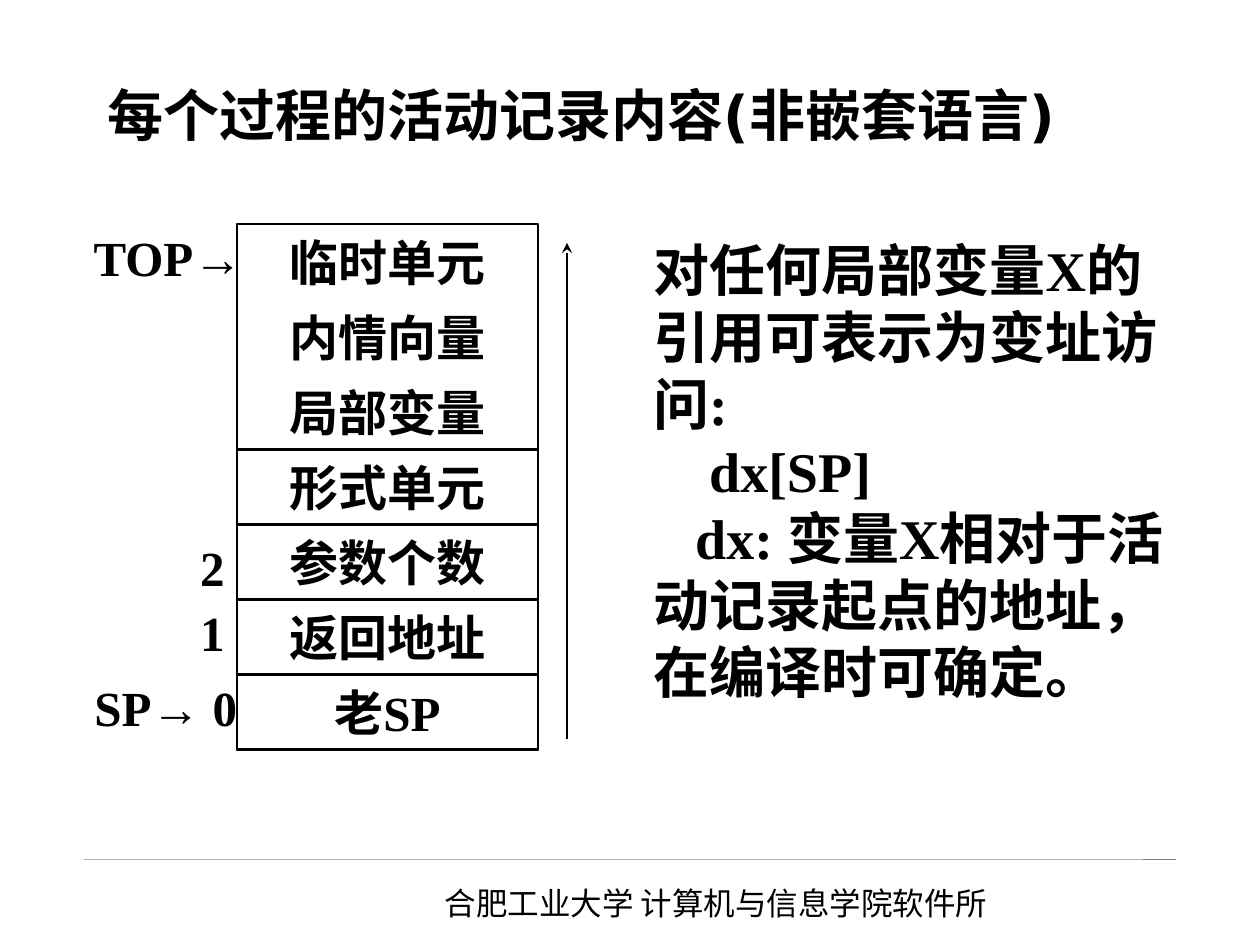
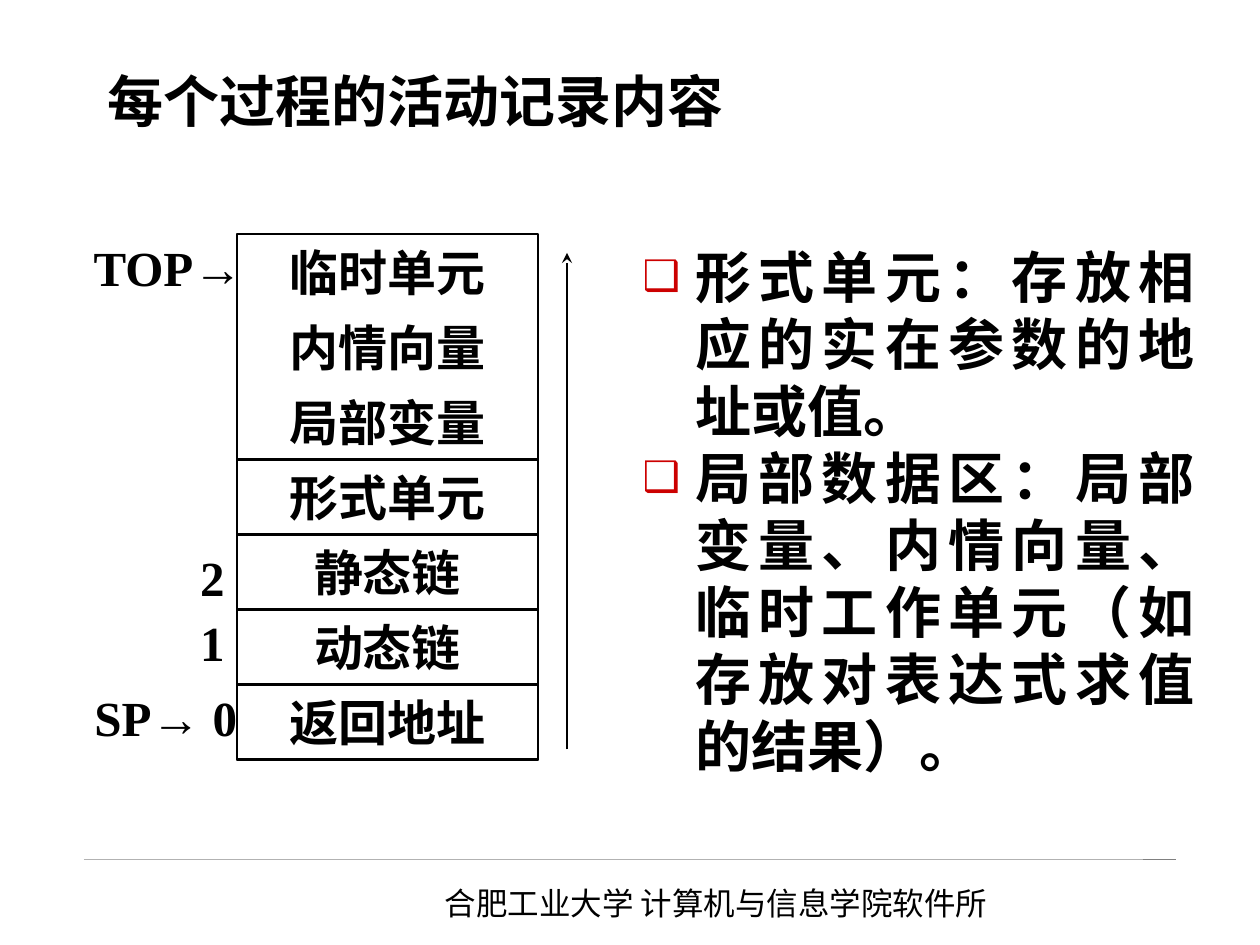
import pptx
import pptx.dml.color
import pptx.enum.shapes
import pptx.enum.text
import pptx.oxml
import pptx.oxml.ns
import pptx.util

Pt = pptx.util.Pt
ALIGN = pptx.enum.text.PP_ALIGN
ANCHOR = pptx.enum.text.MSO_ANCHOR
BLACK, RED, RULE, RULE_END = "000000", "CC0000", "B2B2B2", "808080"
SERIF, SANS, CHINESE = "Times New Roman", "DejaVu Sans", "Noto Sans CJK SC"
STACK_LEFT, STACK_WIDTH, ROW_HEIGHT = 135.4, 172, 42.9
LABEL_HEIGHT = 37.5
LOCAL_DATA = ["临时单元", "内情向量", "局部变量"]


def color(value):
    """Turn a hex string into a colour."""
    return pptx.dml.color.RGBColor.from_string(value)


def add_element(parent, tag, **attributes):
    """Append a drawing element with the given attributes."""
    element = parent.makeelement(pptx.oxml.ns.qn(tag), attributes)
    parent.append(element)
    return element


def style(para, size, name=SERIF, bold=True, align=ALIGN.LEFT):
    """Set alignment and font of a paragraph."""
    para.alignment = align
    font = para.font
    font.size, font.bold, font.name = Pt(size), bold, name
    font.color.rgb = color(BLACK)
    add_element(font._element, "a:ea", typeface=CHINESE)


def frame_text(shape, wrap=True, anchor=ANCHOR.MIDDLE):
    """Prepare the text frame of a shape and return it."""
    frame = shape.text_frame
    frame.auto_size = pptx.enum.text.MSO_AUTO_SIZE.NONE
    frame.word_wrap, frame.vertical_anchor = wrap, anchor
    return frame


def move(shape, left, top, width, height):
    """Place a shape."""
    shape.left, shape.top = Pt(left), Pt(top)
    shape.width, shape.height = Pt(width), Pt(height)


def add_text(page, text, box, size=28, wrap=False, align=ALIGN.CENTER, **font):
    """Add a text box with one paragraph, setting arrows in Arial."""
    shape = page.shapes.add_textbox(*map(Pt, box))
    para = frame_text(shape, wrap).paragraphs[0]
    style(para, size, align=align, **font)
    before, arrow, after = text.partition("→")
    for part in filter(None, (before, arrow, after)):
        span = para.add_run()
        span.text = part
        if part == "→":
            span.font.name = "Arial"


def add_line(page, start, end, line_color, width):
    """Add a straight line without shadow."""
    line = page.shapes.add_connector(
        pptx.enum.shapes.MSO_CONNECTOR.STRAIGHT, *map(Pt, start + end))
    line.line.color.rgb = color(line_color)
    line.line.width = Pt(width)
    add_element(line._element.spPr, "a:effectLst")
    return line


def add_frame(page, left, top, width, height):
    """Add an unfilled rectangle with a black outline."""
    shape = page.shapes.add_shape(
        pptx.enum.shapes.MSO_SHAPE.RECTANGLE, *map(Pt, (left, top, width, height)))
    shape.shadow.inherit = False
    shape.fill.background()
    shape.line.color.rgb = color(BLACK)
    shape.line.width = Pt(1.5)
    return shape


def add_footer(page):
    """Add the footer rule and the name of the institute."""
    add_line(page, (48, 491), (672, 491), RULE, 0.25)
    add_line(page, (653, 491), (672, 491), RULE_END, 0.25)
    add_text(page, "合肥工业大学 计算机与信息学院软件所", (247, 501.5, 351, 29),
             size=18, wrap=True, align=ALIGN.LEFT, name=CHINESE, bold=False)


def add_stack(page, top, cells):
    """Draw the activation record with its labels and growth arrow."""
    row_tops = [top + index * ROW_HEIGHT for index in range(7)]
    add_frame(page, STACK_LEFT, top, STACK_WIDTH, 7 * ROW_HEIGHT)
    for row_top, text in zip(row_tops, LOCAL_DATA):
        add_text(page, text, (STACK_LEFT, row_top, STACK_WIDTH, ROW_HEIGHT))
    for row_top, text in zip(row_tops[3:], cells):
        cell = add_frame(page, STACK_LEFT, row_top, STACK_WIDTH, ROW_HEIGHT)
        para = frame_text(cell, False).paragraphs[0]
        para.text = text
        style(para, 28, align=ALIGN.CENTER)
    labels = [
        ("TOP→ ", 63.4, 55, row_tops[0], ALIGN.CENTER),
        ("2", 45.4, 45.4, row_tops[5] - LABEL_HEIGHT, ALIGN.RIGHT),
        ("1", 45.4, 45.4, row_tops[5], ALIGN.RIGHT),
        ("SP→ 0", 63.4, 45.4, row_tops[6], ALIGN.CENTER),
    ]
    for text, offset, width, label_top, align in labels:
        add_text(page, text, (STACK_LEFT - offset, label_top, width, LABEL_HEIGHT),
                 align=align)
    arrow = add_line(page, (324, top + 294.5), (324, top + 10.8), BLACK, 1.5)
    add_element(arrow.line._get_or_add_ln(), "a:tailEnd", type="stealth")


def fill_body(page, box, paragraphs, bulleted=False):
    """Fill the body placeholder with (text, first-line indent) pairs."""
    body = page.placeholders[1]
    move(body, *box)
    frame = frame_text(body, anchor=ANCHOR.TOP)
    frame.margin_top = Pt(6.5)
    for index, (text, indent) in enumerate(paragraphs):
        para = frame.add_paragraph() if index else frame.paragraphs[0]
        para.text = text
        para.space_before = Pt(0)
        para.line_spacing = Pt(38.3)
        properties = para._element.get_or_add_pPr()
        properties.set("marL", str(Pt(30 if bulleted else 0)))
        properties.set("indent", str(Pt(indent)))
        if bulleted:
            bullet_color = add_element(properties, "a:buClr")
            add_element(bullet_color, "a:srgbClr", val=RED)
            add_element(properties, "a:buSzPct", val="75000")
            add_element(properties, "a:buChar", char="❑")
        else:
            add_element(properties, "a:buNone")
        style(para, 32, align=ALIGN.JUSTIFY if bulleted else ALIGN.LEFT)


def add_page(deck, title, title_box, stack_top, cells):
    """Add a slide with title, footer and activation record."""
    page = deck.slides.add_slide(deck.slide_layouts[1])
    move(page.shapes.title, *title_box)
    para = frame_text(page.shapes.title).paragraphs[0]
    para.text = title
    style(para, 32, name=SANS)
    add_footer(page)
    add_stack(page, stack_top, cells)
    return page


def main():
    """Build and save the deck."""
    deck = pptx.Presentation()
    deck.slide_width, deck.slide_height = Pt(720), Pt(540)
    page = add_page(deck, "每个过程的活动记录内容(非嵌套语言)", (54, 20, 635, 90),
                    128, ["形式单元", "参数个数", "返回地址", "老SP"])
    fill_body(page, (366, 128, 324, 306), [
        ("对任何局部变量X的引用可表示为变址访问:", 0),
        ("dx[SP]", 32),
        ("dx: 变量X相对于活动记录起点的地址，在编译时可确定。", 24),
    ])
    page = add_page(deck, "每个过程的活动记录内容", (54, 12, 612, 90),
                    133.7, ["形式单元", "静态链", "动态链", "返回地址"])
    fill_body(page, (360, 132, 330, 360), [
        ("形式单元：存放相应的实在参数的地址或值。", -30),
        ("局部数据区：局部变量、内情向量、临时工作单元（如存放对表达式求值的结果）。", -30),
    ], bulleted=True)
    deck.save("out.pptx")


if __name__ == "__main__":
    main()
